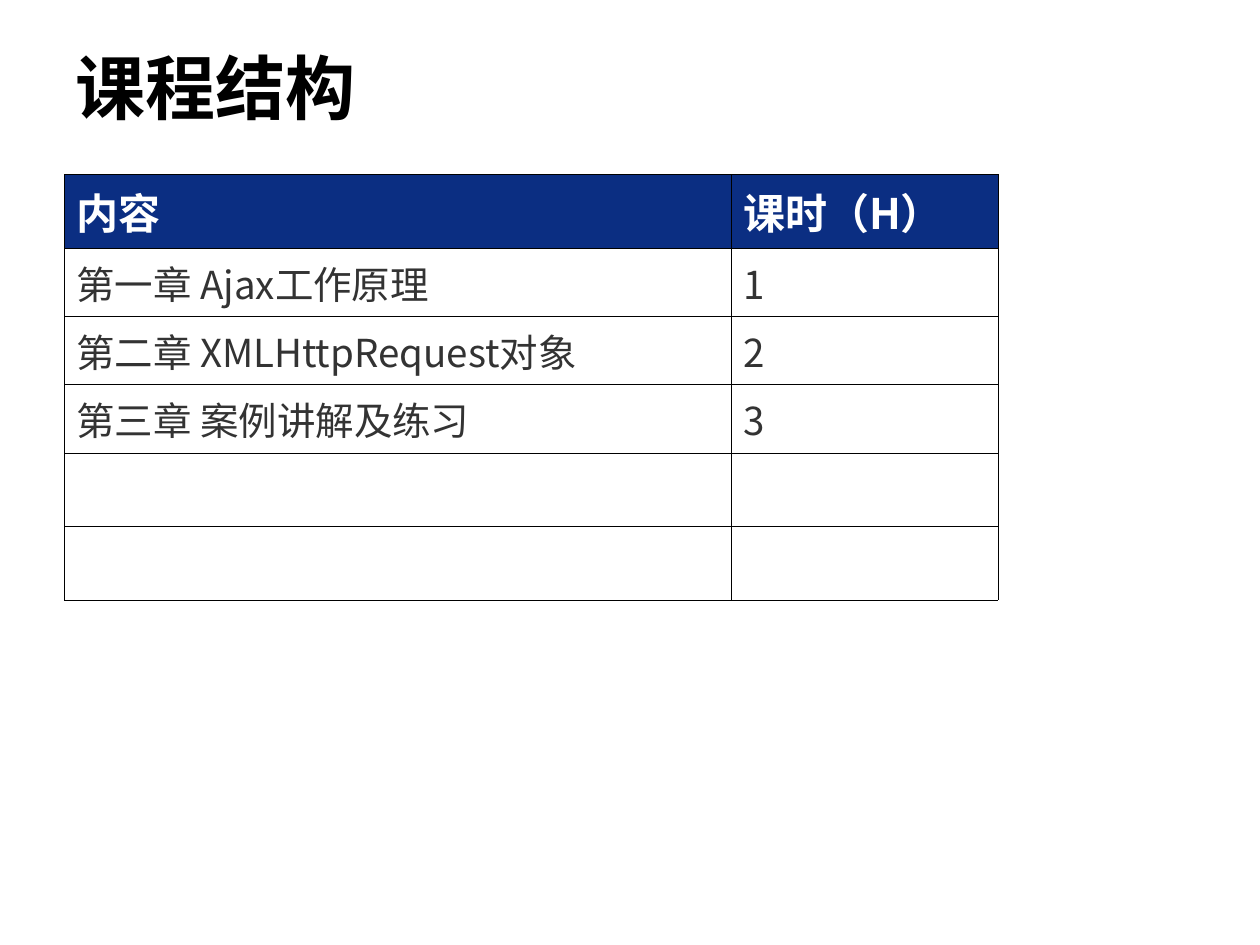
from lxml import etree
from pptx import Presentation
from pptx.dml.color import RGBColor
from pptx.enum import text
from pptx.oxml import ns
from pptx.util import Pt

TITLE = "课程结构"
ROWS = [
    ("内容", "课时（H）"),
    ("第一章 Ajax工作原理", "1"),
    ("第二章 XMLHttpRequest对象", "2"),
    ("第三章 案例讲解及练习", "3"),
    ("", ""),
    ("", ""),
]
COLUMN_WIDTHS = (381, 152.5)
ROW_HEIGHTS = (42, 39, 39, 39, 42, 42)

TITLE_FONT = "Times New Roman"
BODY_FONT = "Noto Sans CJK SC"
BLACK = RGBColor(0x00, 0x00, 0x00)
WHITE = RGBColor(0xFF, 0xFF, 0xFF)
NAVY = RGBColor(0x0B, 0x2E, 0x82)
GRAY = RGBColor(0x33, 0x33, 0x33)


def format_paragraph(paragraph, size, color, bold, latin=BODY_FONT):
    font = paragraph.font
    font.name = latin
    font.size = Pt(size)
    font.bold = bold
    font.color.rgb = color
    properties = paragraph._p.pPr.find(ns.qn("a:defRPr"))
    east_asian = etree.SubElement(properties, ns.qn("a:ea"))
    east_asian.set("typeface", BODY_FONT)


def add_borders(cell, color=BLACK, width=0.45):
    """Draw all four edges; the lines must come before the cell's fill."""
    properties = cell._tc.get_or_add_tcPr()
    for position, edge in enumerate(("lnL", "lnR", "lnT", "lnB")):
        line = etree.Element(ns.qn(f"a:{edge}"), w=str(int(Pt(width))))
        fill = etree.SubElement(line, ns.qn("a:solidFill"))
        etree.SubElement(fill, ns.qn("a:srgbClr"), val=str(color))
        properties.insert(position, line)


def add_title(slide):
    title = slide.shapes.title
    title.left, title.top, title.width, title.height = Pt(36), Pt(21.6), Pt(648), Pt(56)
    frame = title.text_frame
    frame.text = TITLE
    frame.vertical_anchor = text.MSO_ANCHOR.MIDDLE
    paragraph = frame.paragraphs[0]
    paragraph.alignment = text.PP_ALIGN.LEFT
    format_paragraph(paragraph, 40, BLACK, True, TITLE_FONT)


def add_course_table(slide):
    frame = slide.shapes.add_table(
        len(ROWS), len(COLUMN_WIDTHS), Pt(36.9), Pt(99.8),
        Pt(sum(COLUMN_WIDTHS)), Pt(sum(ROW_HEIGHTS)))
    table = frame.table
    table.horz_banding = False
    for column, width in zip(table.columns, COLUMN_WIDTHS):
        column.width = Pt(width)
    for row_index, (row, height) in enumerate(zip(table.rows, ROW_HEIGHTS)):
        row.height = Pt(height)
        header = row_index == 0
        for cell, content in zip(row.cells, ROWS[row_index]):
            cell.margin_left = cell.margin_right = Pt(6.8)
            cell.margin_top = cell.margin_bottom = Pt(3.6)
            if header:
                cell.fill.solid()
                cell.fill.fore_color.rgb = NAVY
            else:
                cell.fill.background()
            add_borders(cell)
            if content:
                cell.text = content
                format_paragraph(cell.text_frame.paragraphs[0],
                                 24 if header else 22,
                                 WHITE if header else GRAY, header)


def main():
    presentation = Presentation()
    presentation.slide_width, presentation.slide_height = Pt(720), Pt(540)
    slide = presentation.slides.add_slide(presentation.slide_layouts[5])
    add_title(slide)
    add_course_table(slide)
    presentation.save("out.pptx")


if __name__ == "__main__":
    main()
